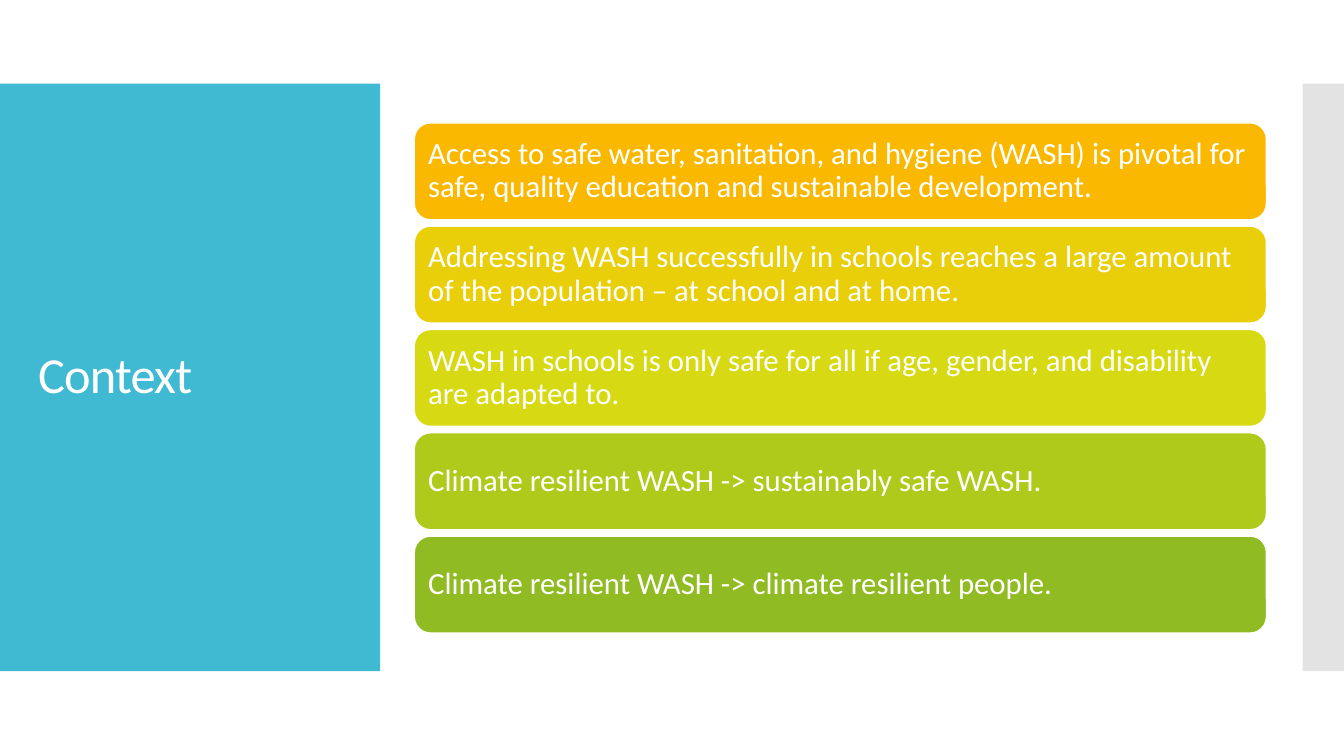
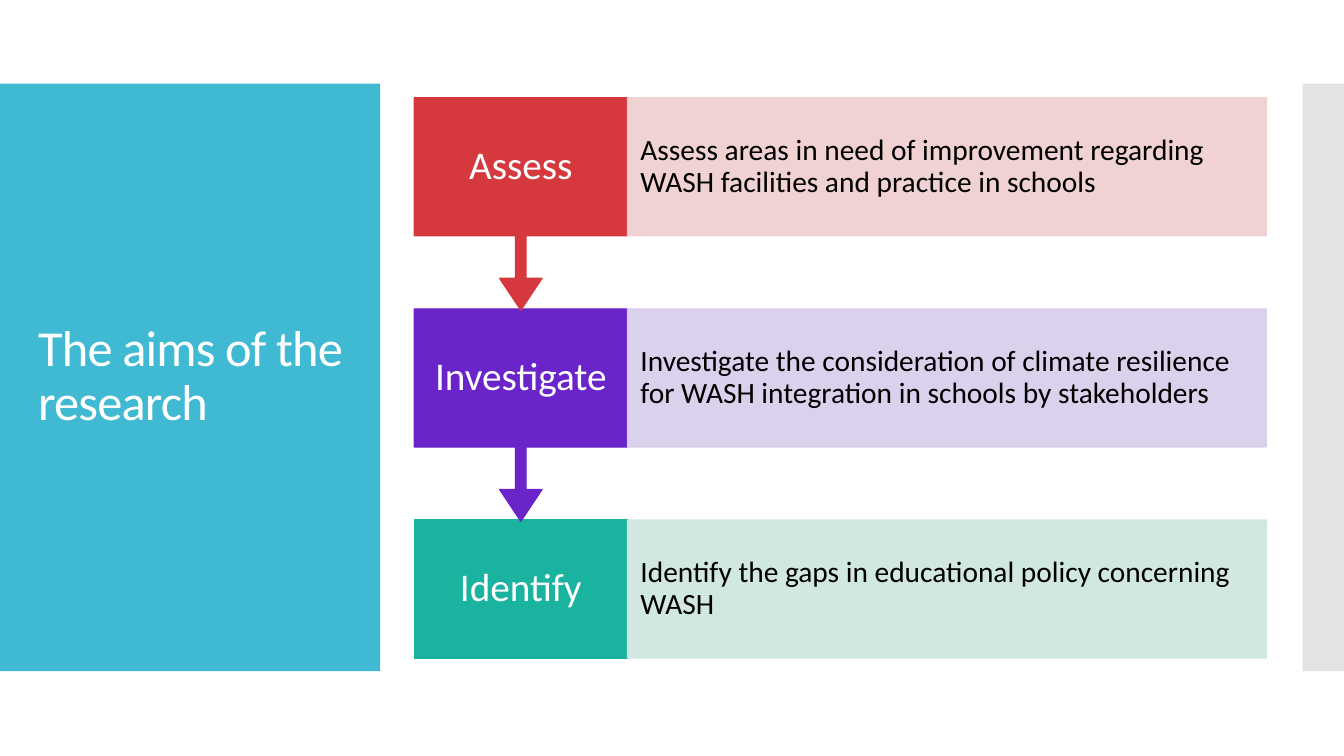
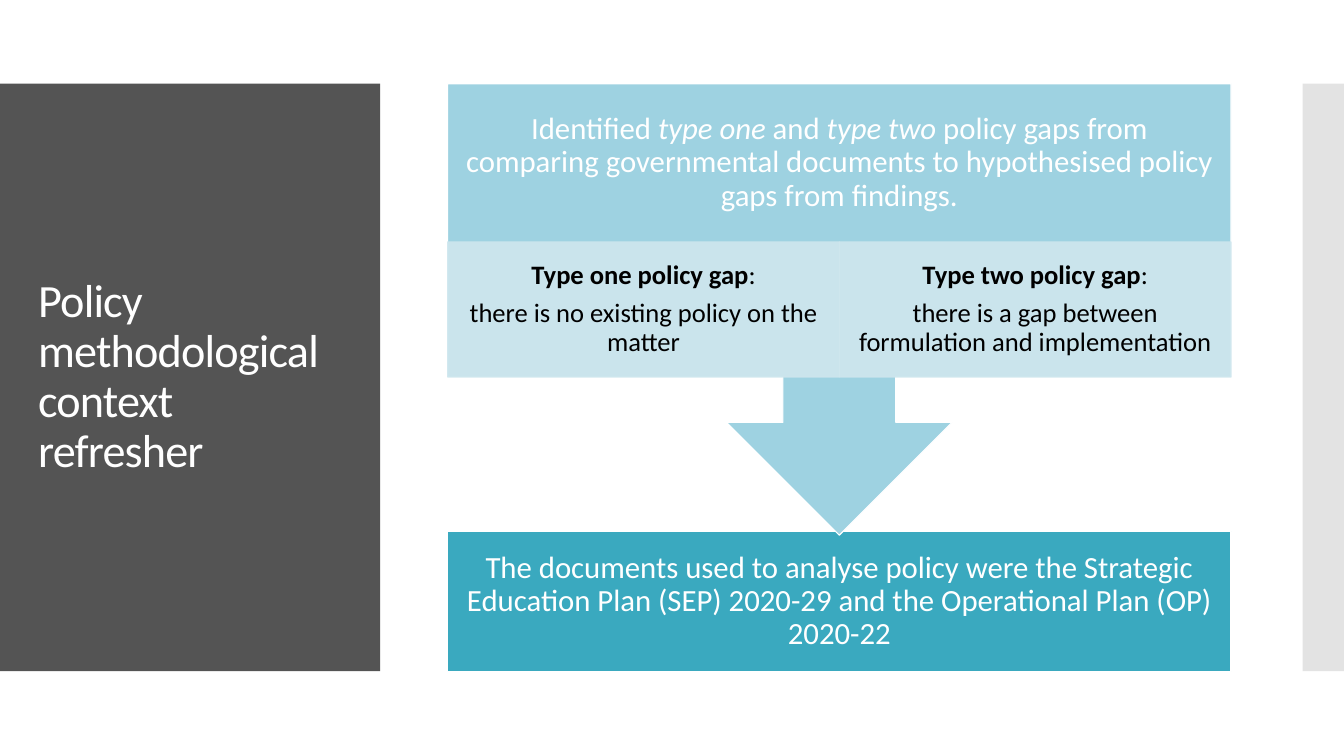
import pptx
import pptx.util
import pptx.dml.color
import pptx.enum.shapes
import pptx.enum.text
import pptx.oxml.ns
from lxml import etree

Inches = pptx.util.Inches
Pt = pptx.util.Pt
KIND = pptx.enum.shapes.MSO_SHAPE
ALIGN = pptx.enum.text.PP_ALIGN
ANCHOR = pptx.enum.text.MSO_ANCHOR


class Theme:
    font = "Calibri"
    white, black = "FFFFFF", "000000"
    teal, slate, edge = "40BAD2", "545454", "C8C8C8"
    scale = ["FAB900", "E9CE0A", "D7D913", "B0CA1B", "90BB23"]
    steps = [("D5393D", "EFCECF"), ("6A24CA", "D8CDEA"), ("1AB39F", "CDE5DF")]
    sky, mist, sea = "9ED2E1", "CFE7EE", "3AA9BF"
    title, tight, label, body, note, small = 36, 33, 28, 22, 21, 19
    rule, lead, after, track = 0.85, 0.9, 0.35, "-60"
    solid, tint, faint = 100, 90, 50


def paint(fmt, color, alpha=Theme.solid):
    """Give a fill a solid colour with an optional opacity in percent."""
    fmt.solid()
    fmt.fore_color.rgb = pptx.dml.color.RGBColor.from_string(color)
    if alpha < Theme.solid:
        tag = pptx.oxml.ns.qn("a:srgbClr")
        node = next(fmt._xPr.iter(tag))
        etree.SubElement(node, pptx.oxml.ns.qn("a:alpha")).set("val", str(alpha * 1000))


def block(slide, kind, box, fill, line=None, alpha=Theme.solid, adj=()):
    """Draw a preset shape in a box of left, top, width, height."""
    shape = slide.shapes.add_shape(kind, *map(Inches, box))
    shape.shadow.inherit = False
    for i, value in enumerate(adj):
        shape.adjustments[i] = value
    paint(shape.fill, fill, alpha)
    if line:
        shape.line.width = Pt(Theme.rule)
        paint(shape.line.fill, line, alpha)
    else:
        shape.line.fill.background()
    return shape


def write(shape, paras, size, color=Theme.white, align=ALIGN.LEFT,
          pad=(0.1, 0.05, 0.1, 0.05), track=None):
    """Fill a shape with paragraphs, each a list of (text, format) runs."""
    frame = shape.text_frame
    sides = ("margin_left", "margin_top", "margin_right", "margin_bottom")
    look = dict(zip(sides, map(Inches, pad)))
    look.update(word_wrap=True, vertical_anchor=ANCHOR.MIDDLE)
    for key, value in look.items():
        setattr(frame, key, value)
    for i, runs in enumerate(paras):
        para = frame.add_paragraph() if i else frame.paragraphs[0]
        style = dict(alignment=align, line_spacing=Theme.lead,
                     space_after=Pt(Theme.after * size))
        for key, value in style.items():
            setattr(para, key, value)
        for text, extra in runs:
            run = para.add_run()
            run.text = text
            form = dict(name=Theme.font, size=Pt(size), **extra)
            for key, value in form.items():
                setattr(run.font, key, value)
            run.font.color.rgb = pptx.dml.color.RGBColor.from_string(color)
            if track:
                run._r.get_or_add_rPr().set("spc", track)


def plain(text):
    return [[(text, {})]]


def stack(box, count, high):
    """Tops of equal rows spread over the height of a box."""
    step = (box[3] - high) / (count - 1)
    return [box[1] + i * step for i in range(count)]


def start(deck, title, fill=Theme.teal, size=Theme.title):
    """Add a slide with its title panel and edge strip."""
    slide = deck.slides.add_slide(deck.slide_layouts[6])
    block(slide, KIND.RECTANGLE, (0, 0.83, 3.77, 5.83), fill)
    block(slide, KIND.RECTANGLE, (12.92, 0.83, 0.42, 5.83), Theme.edge,
          alpha=Theme.faint)
    head = slide.shapes.add_textbox(*map(Inches, (0.28, 1.23, 3.22, 5.03)))
    write(head, plain(title), size, track=Theme.track)
    return slide


def bars(slide, box, items):
    """Rounded bars, one below the other."""
    high = 0.96
    tops = stack(box, len(items), high)
    for top, text, fill in zip(tops, items, Theme.scale):
        bar = block(slide, KIND.ROUNDED_RECTANGLE, (box[0], top, box[2], high),
                    fill, Theme.white)
        write(bar, plain(text), Theme.body, pad=[0.09] * 4)


def steps(slide, box, items):
    """Rows of label and detail; all but the last point down."""
    left, _, wide, _ = box
    high, share, part = 1.37, 0.25, 0.65
    split = wide * share
    rows = list(zip(stack(box, len(items), high), items, Theme.steps))
    # Later rows lie beneath the arrow tips
    for top, (name, text), (dark, pale) in reversed(rows):
        if name == items[-1][0]:
            label = block(slide, KIND.RECTANGLE, (left, top, split, high), dark, dark)
        else:
            label = block(slide, KIND.DOWN_ARROW_CALLOUT,
                          (left, top, split, high / part), dark, dark,
                          adj=(0.05, 0.1, 0.15, part))
        write(label, plain(name), Theme.label, align=ALIGN.CENTER,
              pad=(0.15, 0.22, 0.15, 0.22))
        detail = block(slide, KIND.RECTANGLE, (left + split, top, wide - split, high),
                       pale, pale, Theme.tint)
        write(detail, plain(text), Theme.note, Theme.black,
              pad=(0.13, 0.29, 0.13, 0.29))


def funnel(slide, box, intro, types, result):
    """Callout with a row of types, pointing at a result."""
    left, top, wide, tall = box
    base, call, head, row, part, pad = 1.39, 4.48, 1.57, 1.34, 0.65, 0.17
    # Result
    foot = block(slide, KIND.RECTANGLE, (left, top + tall - base, wide, base),
                 Theme.sea, Theme.white)
    write(foot, plain(result), Theme.body, align=ALIGN.CENTER, pad=[pad] * 4)
    # Callout, with its text kept above the row of types
    arrow = block(slide, KIND.DOWN_ARROW_CALLOUT, (left, top, wide, call),
                  Theme.sky, Theme.white, adj=(0.25, 0.25, 0.25, part))
    write(arrow, intro, Theme.body, align=ALIGN.CENTER,
          pad=(pad, pad, pad, call * part - head + pad))
    # Types
    cell = wide / len(types)
    for i, (name, text) in enumerate(types):
        card = block(slide, KIND.RECTANGLE, (left + i * cell, top + head, cell, row),
                     Theme.mist, Theme.mist, Theme.tint)
        write(card, [[(name, {"bold": True}), (":", {})], [(text, {})]],
              Theme.small, Theme.black, ALIGN.CENTER, (0.15, 0.03, 0.15, 0.03))


def main():
    deck = pptx.Presentation()
    deck.slide_width, deck.slide_height = Inches(13.33), Inches(7.5)

    bars(start(deck, "Context"), (4.11, 1.22, 8.45, 5.06), [
        "Access to safe water, sanitation, and hygiene (WASH) is pivotal for "
        "safe, quality education and sustainable development.",
        "Addressing WASH successfully in schools reaches a large amount of "
        "the population – at school and at home.",
        "WASH in schools is only safe for all if age, gender, and disability "
        "are adapted to.",
        "Climate resilient WASH -> sustainably safe WASH.",
        "Climate resilient WASH -> climate resilient people.",
    ])

    steps(start(deck, "The aims of the research"), (4.11, 0.97, 8.45, 5.56), [
        ("Assess", "Assess areas in need of improvement regarding WASH "
                   "facilities and practice in schools"),
        ("Investigate", "Investigate the consideration of climate resilience "
                        "for WASH integration in schools by stakeholders"),
        ("Identify", "Identify the gaps in educational policy concerning WASH"),
    ])

    slant = {"italic": True}
    funnel(
        start(deck, "Policy methodological context refresher", Theme.slate, Theme.tight),
        (4.44, 0.83, 7.77, 5.83),
        [[("Identified ", {}), ("type one ", slant), ("and ", {}),
          ("type two ", slant),
          ("policy gaps from comparing governmental documents to "
           "hypothesised policy gaps from findings.", {})]],
        [("Type one policy gap", "there is no existing policy on the matter"),
         ("Type two policy gap", "there is a gap between formulation and implementation")],
        "The documents used to analyse policy were the Strategic Education "
        "Plan (SEP) 2020-29 and the Operational Plan (OP) 2020-22",
    )
    deck.save("out.pptx")


if __name__ == "__main__":
    main()
